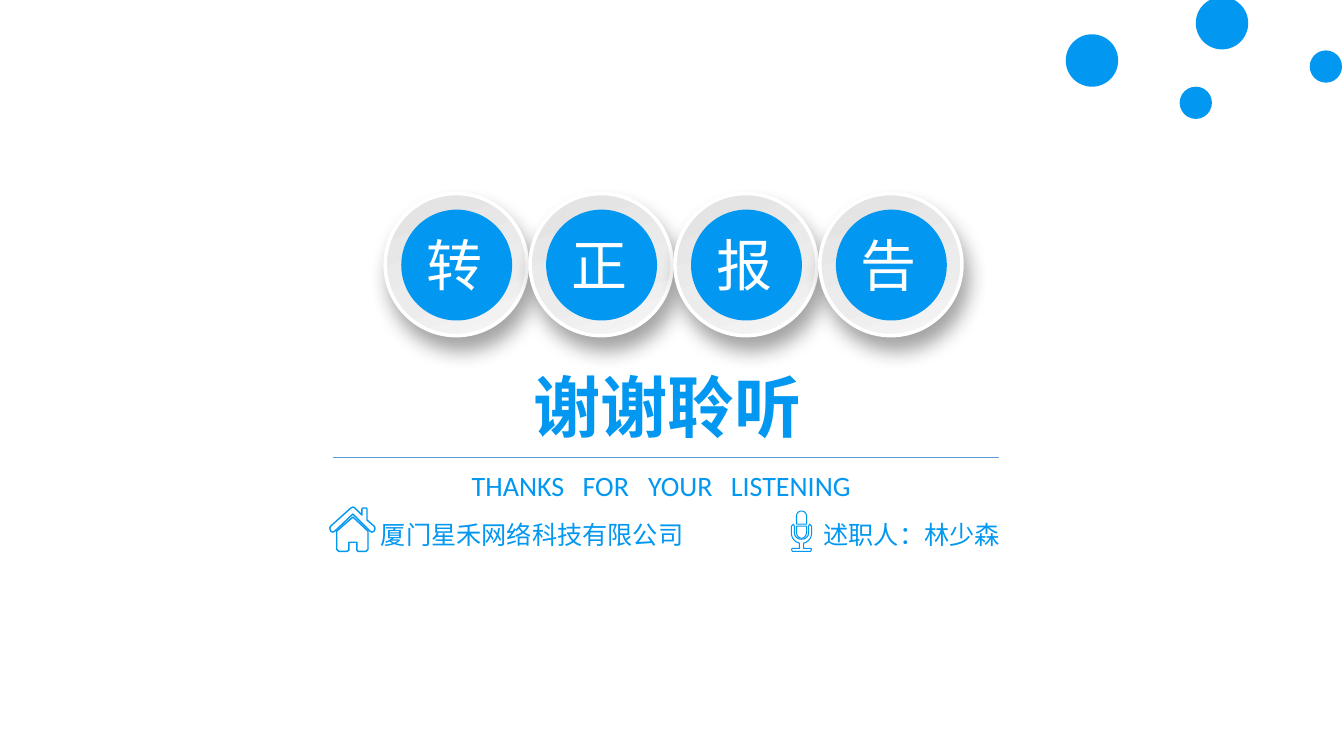
from math import cos, radians, sin

from lxml.etree import SubElement
from pptx import Presentation
from pptx.dml.color import RGBColor
from pptx.enum.shapes import MSO_CONNECTOR, MSO_SHAPE
from pptx.enum.text import MSO_ANCHOR, PP_ALIGN
from pptx.oxml.ns import qn
from pptx.util import Inches, Pt

BLUE = RGBColor(0x02, 0x97, 0xF0)
RULE_BLUE = RGBColor(0x5B, 0x9B, 0xD5)
WHITE = RGBColor(0xFF, 0xFF, 0xFF)
CJK = "Noto Sans CJK SC"

prs = Presentation()
prs.slide_width, prs.slide_height = Inches(13.33), Inches(7.5)
slide = prs.slides.add_slide(prs.slide_layouts[5])
shapes = slide.shapes


def write(box, text, size, color, font=CJK, bold=False):
    frame = box.text_frame
    frame.word_wrap = True
    frame.vertical_anchor = MSO_ANCHOR.TOP
    frame.text = text
    line = frame.paragraphs[0]
    line.alignment = PP_ALIGN.LEFT
    line.font.size, line.font.bold = Pt(size), bold
    line.font.name = font
    line.font.color.rgb = color
    for run in line.runs:
        SubElement(run._r.get_or_add_rPr(), qn("a:ea")).set("typeface", font)
    return line


def arc(cx, cy, rx, ry, start, end):
    """Points along an ellipse, in degrees clockwise from the right."""
    angles = [radians(start + (end - start) * i / 12) for i in range(13)]
    return [(cx + rx * cos(a), cy + ry * sin(a)) for a in angles]


# Closing title
title = shapes.title
title.left, title.top = Inches(5.19), Inches(3.57)
title.width, title.height = Inches(2.95), Inches(0.91)
write(title, "谢谢聆听", 48, BLUE, bold=True)

# Four raised badges, one character each
for i, character in enumerate("转正报告"):
    left = 3.82 + 1.437 * i
    badge = shapes.add_group_shape().shapes
    rim = badge.add_shape(MSO_SHAPE.OVAL, Inches(left), Inches(1.92), Inches(1.41), Inches(1.41))
    rim.fill.gradient()
    rim.fill.gradient_angle = 290
    stops = rim._element.spPr.find(".//" + qn("a:gsLst"))
    for stop in list(stops):
        stops.remove(stop)
    for position, tint in ((0, "E2E2E2"), (63, "ECECEC"), (100, "F7F7F7")):
        stop = SubElement(stops, qn("a:gs"), pos=str(position * 1000))
        SubElement(stop, qn("a:srgbClr"), val=tint)
    rim.line.color.rgb = WHITE
    rim.line.width = Pt(2.5)
    effects = SubElement(rim._element.spPr, qn("a:effectLst"))
    shadow = SubElement(effects, qn("a:outerShdw"), blurRad=str(Pt(14)), dist=str(Pt(10)),
                        dir=str(70 * 60000), algn="t", rotWithShape="0")
    shade = SubElement(shadow, qn("a:srgbClr"), val="1A1A1A")
    SubElement(shade, qn("a:alpha"), val="40000")

    disc = badge.add_shape(MSO_SHAPE.OVAL, Inches(left + 0.16), Inches(2.08), Inches(1.1), Inches(1.1))
    disc.shadow.inherit = False
    disc.fill.solid()
    disc.fill.fore_color.rgb = BLUE
    disc.line.fill.background()
    label = badge.add_textbox(Inches(left + 0.31), Inches(2.24), Inches(0.73), Inches(0.77))
    write(label, character, 40, WHITE)

# Rule under the title
rule = shapes.add_connector(MSO_CONNECTOR.STRAIGHT, Inches(3.3), Inches(4.54), Inches(9.91), Inches(4.54))
rule.line.color.rgb = RULE_BLUE
rule.line.width = Pt(0.5)
SubElement(rule._element.spPr, qn("a:effectLst"))

# English thanks, words spaced by tab stops
thanks = shapes.add_textbox(Inches(4.58), Inches(4.6), Inches(4.17), Inches(0.44))
thanks_line = write(thanks, "THANKS\tFOR\tYOUR\tLISTENING", 20, BLUE, "Calibri")
tabs = thanks_line._p.get_or_add_pPr()
tab_list = tabs.makeelement(qn("a:tabLst"))
tabs.insert(0, tab_list)
for stop in (1.1, 1.75, 2.57):
    SubElement(tab_list, qn("a:tab"), pos=str(Inches(stop)), algn="l")

# Company and speaker
for left, width, detail in ((3.68, 3.23, "厦门星禾网络科技有限公司"),
                            (8.07, 2.24, "述职人：林少森")):
    write(shapes.add_textbox(Inches(left), Inches(5.1), Inches(width), Inches(0.4)), detail, 18, BLUE)

# House and microphone icons
house = [
    [(3.5, 5.13), (3.65, 5.27), (3.65, 5.45), (3.63, 5.47), (3.55, 5.47), (3.54, 5.46),
     (3.54, 5.38), (3.46, 5.38), (3.46, 5.46), (3.44, 5.47), (3.36, 5.47), (3.34, 5.45),
     (3.34, 5.27)],
    [(3.5, 5.03), (3.52, 5.04), (3.59, 5.11), (3.59, 5.05), (3.6, 5.04), (3.63, 5.04),
     (3.64, 5.05), (3.64, 5.16), (3.71, 5.22), (3.72, 5.24), (3.71, 5.27), (3.69, 5.28),
     (3.67, 5.27), (3.5, 5.1), (3.32, 5.27), (3.3, 5.28), (3.28, 5.27), (3.27, 5.24),
     (3.28, 5.22), (3.48, 5.04)],
]
cup = [(7.9, 5.22), (8, 5.22)] + arc(7.95, 5.28, 0.05, 0.06, 0, 180)
cap = [(8, 5.2), (7.9, 5.2)] + arc(7.95, 5.12, 0.05, 0.05, 180, 360)
cradle = (
    [(7.85, 5.22), (7.87, 5.2), (7.88, 5.22)]
    + arc(7.95, 5.29, 0.07, 0.06, 180, 0)
    + [(8.02, 5.22), (8.03, 5.2), (8.05, 5.22)]
    + arc(7.95, 5.29, 0.1, 0.1, 0, 78)
    + [(7.97, 5.44), (8.04, 5.44), (8.05, 5.45), (8.04, 5.47),
       (7.86, 5.47), (7.85, 5.45), (7.86, 5.44), (7.93, 5.44)]
    + arc(7.95, 5.29, 0.1, 0.1, 102, 180)
)
for outlines, weight in ((house, 1), ((cup, cradle, cap), 0.75)):
    builder = None
    for outline in outlines:
        points = [(Inches(x), Inches(y)) for x, y in outline]
        if builder is None:
            builder = shapes.build_freeform(*points[0])
        else:
            builder.move_to(*points[0])
        builder.add_line_segments(points[1:], close=True)
    icon = builder.convert_to_shape()
    icon.shadow.inherit = False
    icon.fill.solid()
    icon.fill.fore_color.rgb = WHITE
    icon.line.color.rgb = BLUE
    icon.line.width = Pt(weight)

# Corner bubbles: a thin ring around a disc
for left, top, size in ((10.57, 0.34, 0.52), (11.7, 0.86, 0.32),
                        (11.86, -0.03, 0.52), (12.99, 0.5, 0.32)):
    bubble = shapes.add_group_shape().shapes
    inset = size * 0.03
    for preset, gap in ((MSO_SHAPE.DONUT, 0), (MSO_SHAPE.OVAL, inset)):
        part = bubble.add_shape(preset, Inches(left + gap), Inches(top + gap),
                                Inches(size - 2 * gap), Inches(size - 2 * gap))
        if preset == MSO_SHAPE.DONUT:
            part.adjustments[0] = 0.05
        part.shadow.inherit = False
        part.fill.solid()
        part.fill.fore_color.rgb = BLUE
        part.line.fill.background()

prs.save("out.pptx")
